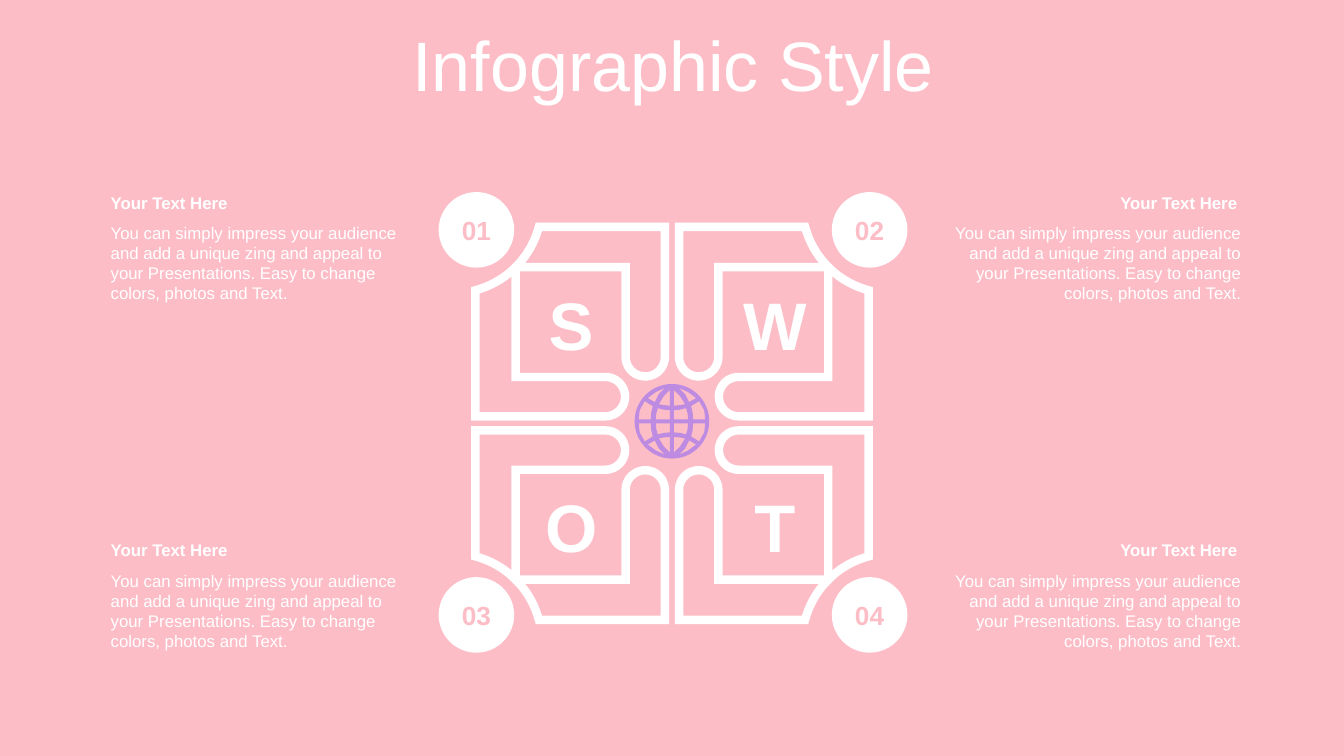
import math

import lxml.etree
import pptx
import pptx.dml.color
import pptx.enum.shapes
import pptx.enum.text
import pptx.oxml.ns
import pptx.util

SLIDE_WIDTH, SLIDE_HEIGHT = 13.33, 7.5
PINK, WHITE, PURPLE = "FDBDC7", "FFFFFF", "BE8BE2"
LEFT, CENTER, RIGHT = (pptx.enum.text.PP_ALIGN.LEFT, pptx.enum.text.PP_ALIGN.CENTER,
                       pptx.enum.text.PP_ALIGN.RIGHT)
TOP, MIDDLE = pptx.enum.text.MSO_ANCHOR.TOP, pptx.enum.text.MSO_ANCHOR.MIDDLE
MESSAGE = ("You can simply impress your audience and add a unique zing and appeal "
           "to your Presentations. Easy to change colors, photos and Text.")

# Number, letter, and the side of the centre on which each quadrant lies
QUADRANTS = [("01", "S", -1, -1), ("02", "W", 1, -1),
             ("03", "O", -1, 1), ("04", "T", 1, 1)]


def color(hex_value):
    return pptx.dml.color.RGBColor.from_string(hex_value)


def inches(*lengths):
    return [pptx.util.Inches(length) for length in lengths]


def around(x, y, width, height):
    """Box of the given size centred on a point."""
    return x - width / 2, y - height / 2, width, height


def write(frame, words, size, hex_value, align, anchor, bold=False):
    frame.word_wrap = True
    frame.vertical_anchor = anchor
    paragraph = frame.paragraphs[0]
    paragraph.alignment = align
    run = paragraph.add_run()
    run.text = words
    run.font.name = "Arial"
    run.font.size = pptx.util.Pt(size)
    run.font.bold = bold
    run.font.color.rgb = color(hex_value)
    return paragraph


def add_text(slide, box, words, size, hex_value=WHITE, align=CENTER, anchor=TOP, bold=True):
    label = slide.shapes.add_textbox(*inches(*box))
    write(label.text_frame, words, size, hex_value, align, anchor, bold)


def add_outline(slide, contours):
    """Freeform made of several closed contours, in inches."""
    builder = None
    for contour in contours:
        first, *others = [inches(*point) for point in contour]
        if builder is None:
            builder = slide.shapes.build_freeform(*first, scale=1.0)
        else:
            builder.move_to(*first)
        builder.add_line_segments(others, close=True)
    outline = builder.convert_to_shape()
    outline.shadow.inherit = False
    return outline


def arc(x, y, radius, start, end, steps=24):
    angles = [math.radians(start + (end - start) * i / steps) for i in range(steps + 1)]
    return [(x + radius * math.cos(a), y + radius * math.sin(a)) for a in angles]


def curve(points, steps=12):
    """Points along a cubic curve given by its four control points."""
    weights = [((1 - t) ** 3, 3 * t * (1 - t) ** 2, 3 * t * t * (1 - t), t ** 3)
               for t in (i / steps for i in range(steps + 1))]
    return [tuple(sum(w * p[axis] for w, p in zip(row, points)) for axis in (0, 1))
            for row in weights]


# Title
def add_title(slide, box):
    title = slide.shapes.title
    title.left, title.top, title.width, title.height = inches(*box)
    paragraph = write(title.text_frame, "Infographic Style", 50, WHITE, CENTER, MIDDLE)
    paragraph.line_spacing = 0.8
    paragraph.space_before = pptx.util.Pt(10)


# Petal: one rounded arm, and the same arm mirrored on the diagonal
def add_petal(slide, center_x, center_y, side_x, side_y):
    notch = curve([(1.32, 1.95), (1.36, 1.8), (1.44, 1.66), (1.55, 1.55)])
    arm = [(0.07, 1.95), *notch, (0.46, 1.55), *arc(0.265, 0.66, 0.195, 0, -180)]
    mirrored = [(y, x) for x, y in arm]
    petal = add_outline(slide, [[(center_x + side_x * x, center_y + side_y * y)
                                 for x, y in part] for part in (arm, mirrored)])
    petal.fill.background()
    petal.line.color.rgb = color(WHITE)
    petal.line.width = pptx.util.Pt(6)
    line = petal.line.fill._xPr
    lxml.etree.SubElement(line, pptx.oxml.ns.qn("a:miter"), lim="800000")


# Numbered circle at the outer corner of a petal
def add_badge(slide, box, number):
    left, top, width, height = box
    badge = slide.shapes.add_shape(pptx.enum.shapes.MSO_SHAPE.OVAL, *inches(*box))
    badge.shadow.inherit = False
    badge.fill.solid()
    badge.fill.fore_color.rgb = color(WHITE)
    badge.line.fill.background()
    add_text(slide, around(left + width / 2, top + height / 2 + 0.01, 0.66, 0.42),
             number, 18.7, PINK)


# Globe: a disc with four windows cut out of each quarter
def add_globe(slide, center_x, center_y):
    windows = [
        [(0.02, 0.02), (0.16, 0.02), (0.155, 0.08), (0.14, 0.13), (0.08, 0.115), (0.02, 0.11)],
        [(0.21, 0.02), (0.33, 0.02), (0.32, 0.11), (0.27, 0.2), (0.19, 0.15), (0.205, 0.09)],
        [(0.02, 0.155), (0.08, 0.16), (0.13, 0.17), (0.08, 0.25), (0.02, 0.31)],
        [(0.07, 0.33), (0.16, 0.29), (0.24, 0.23), (0.17, 0.19), (0.13, 0.27)],
    ]
    contours = [arc(center_x, center_y, 0.37, 0, 360, 72)]
    for _, _, side_x, side_y in QUADRANTS:
        contours += [[(center_x + side_x * x, center_y + side_y * y) for x, y in window]
                     for window in windows]
    globe = add_outline(slide, contours)
    globe.fill.solid()
    globe.fill.fore_color.rgb = color(PURPLE)
    globe.line.fill.background()


# Emblem: petals, badges, letters and globe around the centre of the box
def add_emblem(slide, box):
    left, top, width, height = box
    x, y = left + width / 2, top + height / 2
    for number, letter, side_x, side_y in QUADRANTS:
        add_petal(slide, x, y, side_x, side_y)
        add_badge(slide, around(x + 0.01 + 1.95 * side_x, y - 0.01 + 1.91 * side_y, 0.75, 0.75),
                  number)
        add_text(slide, around(x + 0.01 + 1.01 * side_x, y + 0.01 + side_y, 0.9, 0.91),
                 letter, 48, anchor=MIDDLE)
    add_globe(slide, x, y - 0.02)


# Heading with a message below it
def add_note(slide, box, align):
    left, top, width, height = box
    heading_height = 0.3
    inset = 0.03 if align == RIGHT else 0
    add_text(slide, (left, top, width - 0.03, heading_height), "Your Text Here", 12, align=align)
    add_text(slide, (left + inset / 3, top + heading_height, width, height - heading_height),
             MESSAGE, 12, align=align, bold=False)


def main():
    deck = pptx.Presentation()
    deck.slide_width, deck.slide_height = inches(SLIDE_WIDTH, SLIDE_HEIGHT)
    slide = deck.slides.add_slide(deck.slide_layouts[5])
    slide.background.fill.solid()
    slide.background.fill.fore_color.rgb = color(PINK)

    add_title(slide, (0.35, 0.31, 12.66, 0.79))
    add_emblem(slide, around(SLIDE_WIDTH / 2, 4.2, 3.9, 3.9))
    for left, align in ((1, LEFT), (9.33, RIGHT)):
        for top in (1.86, 5.31):
            add_note(slide, (left, top, 3.07, 1.21), align)
    deck.save("out.pptx")


if __name__ == "__main__":
    main()
